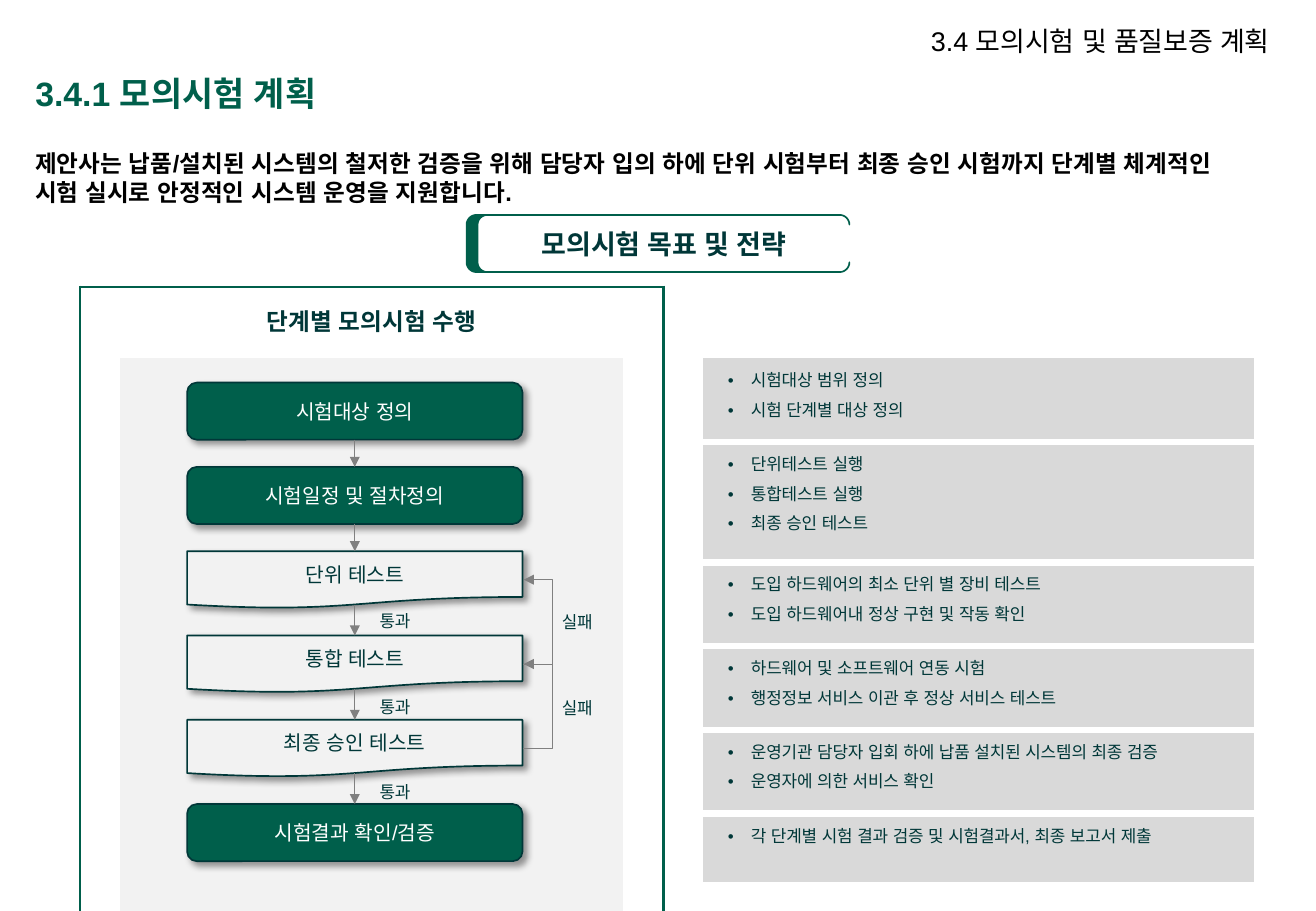
from math import cos, radians, sin

from lxml.etree import SubElement
from pptx import Presentation
from pptx.dml.color import RGBColor
from pptx.enum.shapes import MSO_CONNECTOR as CONNECTOR, MSO_SHAPE as SHAPE
from pptx.enum.text import MSO_ANCHOR as ANCHOR, PP_ALIGN as ALIGN
from pptx.oxml.ns import qn
from pptx.util import Inches, Pt

COLORS = {
    "green": "005F4B", "dark": "003738", "black": "000000", "white": "FFFFFF",
    "panel": "F2F2F2", "box": "D9D9D9", "line": "808080",
}
NO_STYLE = "{2D5ABB26-0587-4C30-8999-92F81FD0307C}"
DETAILS = [
    ["시험대상 범위 정의", "시험 단계별 대상 정의"],
    ["단위테스트 실행", "통합테스트 실행", "최종 승인 테스트"],
    ["도입 하드웨어의 최소 단위 별 장비 테스트", "도입 하드웨어내 정상 구현 및 작동 확인"],
    ["하드웨어 및 소프트웨어 연동 시험", "행정정보 서비스 이관 후 정상 서비스 테스트"],
    ["운영기관 담당자 입회 하에 납품 설치된 시스템의 최종 검증", "운영자에 의한 서비스 확인"],
    ["각 단계별 시험 결과 검증 및 시험결과서, 최종 보고서 제출"],
]
ROW_HEIGHTS = [0.59, 0.69, 0.99, 0.69, 0.69, 0.69, 0.59, 0.59]
COLUMN_WIDTHS = [0.33, 4.14, 0.33, 0.33, 4.53]
STEPS = [
    ("시험대상 정의", False), ("시험일정 및 절차정의", False), ("단위 테스트", True),
    ("통합 테스트", True), ("최종 승인 테스트", True), ("시험결과 확인/검증", False),
]
STEP_LEFT, STEP_TOP, STEP_WIDTH, STEP_HEIGHT = 1.54, 3.15, 2.76, 0.47
STEP_PITCH = (6.62 - STEP_TOP) / 5
DOCUMENT_DEPTH = 0.44
RETRY_GAP, RETRY_REACH = 0.01, 0.25


def rgb(name):
    """Return the named colour."""
    return RGBColor.from_string(COLORS[name])


def style(paragraph, size, color, bold=False, align=ALIGN.LEFT):
    """Format a paragraph and its runs."""
    paragraph.alignment = align
    for run in paragraph.runs:
        run.font.name = "Arial"
        SubElement(run.font._element, qn("a:ea"), typeface="Arial")
        run.font.size = Pt(size)
        run.font.bold = bold
        run.font.color.rgb = rgb(color)


def write(holder, text, size, color, bold=False, align=ALIGN.LEFT, anchor=ANCHOR.MIDDLE):
    """Put one formatted paragraph into a shape."""
    frame = holder.text_frame
    frame.text = text
    frame.word_wrap = True
    frame.vertical_anchor = anchor
    style(frame.paragraphs[0], size, color, bold, align)
    return frame


def add_text(slide, box, *args, **options):
    """Add a text box holding one paragraph."""
    return write(slide.shapes.add_textbox(*map(Inches, box)), *args, **options)


def add_title(slide):
    """Place the section title."""
    title = slide.shapes.title
    title.left, title.top, title.width, title.height = map(Inches, (0.19, 0.59, 9.6, 0.39))
    write(title, "3.4.1 모의시험 계획", 20, "green", bold=True)
    title.text_frame.paragraphs[0].line_spacing = 0.9


def add_banner(slide):
    """Draw the rounded bracket with the heading inside."""
    radius, top, bottom = 0.08, 1.85, 2.16
    corners = [
        (6.91, top, -90, 0), (6.91, top, 0, -90), (4.01, top, -90, -180),
        (4.01, bottom, 180, 90), (6.91, bottom, 90, 0), (6.91, bottom, 0, 90),
        (3.92, bottom, 90, 180), (3.92, top, 180, 270),
    ]
    outline = [
        (Inches(x + radius * cos(angle)), Inches(y + radius * sin(angle)))
        for x, y, start, end in corners
        for angle in (radians(start + (end - start) * i / 8) for i in range(9))
    ]
    builder = slide.shapes.build_freeform(*outline[0])
    builder.add_line_segments(outline[1:], close=True)
    banner = builder.convert_to_shape()
    banner.shadow.inherit = False
    banner.fill.solid()
    banner.fill.fore_color.rgb = rgb("green")
    banner.line.color.rgb = rgb("green")
    banner.line.width = Pt(1)
    frame = write(banner, "모의시험 목표 및 전략", 16, "dark", bold=True, align=ALIGN.CENTER)
    frame.margin_left = Inches(0.2)


def format_cell(cell, fill, borders):
    """Set the borders and then the fill of a cell."""
    properties = cell._tc.get_or_add_tcPr()
    for side in "LRTB":
        if side in borders:
            color, width = borders[side]
            line = SubElement(properties, qn(f"a:ln{side}"), w=str(Pt(width)))
            SubElement(SubElement(line, qn("a:solidFill")), qn("a:srgbClr"), val=COLORS[color])
    cell.fill.solid()
    cell.fill.fore_color.rgb = rgb(fill)


def cell_borders(row, column):
    """Return the borders of a cell from its place in the table."""
    frame, gap = ("green", 1.5), ("white", 4.5)
    if column == 4:
        rules = {"T": (row > 1, gap), "B": (0 < row < 7, gap)}
    else:
        rules = {
            "L": (column == 0, frame), "R": (column == 2, frame),
            "T": (row == 0 and column < 3, frame), "B": (row == 7 and column < 3, frame),
        }
    return {side: border for side, (shown, border) in rules.items() if shown}


def write_bullets(cell, lines):
    """Fill a cell with bulleted lines."""
    cell.margin_left, cell.margin_right = Inches(0.2), Inches(0.1)
    cell.margin_top = cell.margin_bottom = Inches(0.08)
    cell.text_frame.text = "\n".join(lines)
    for paragraph in cell.text_frame.paragraphs:
        paragraph.line_spacing = 1.2
        paragraph.space_after = Pt(4)
        properties = paragraph._p.get_or_add_pPr()
        properties.set("marL", str(Inches(0.19)))
        properties.set("indent", str(Inches(-0.19)))
        SubElement(properties, qn("a:buFont"), typeface="Arial")
        SubElement(properties, qn("a:buChar"), char="•")
        style(paragraph, 10, "dark")


def add_plan_table(slide):
    """Add the table that frames the flow and lists the details."""
    place = map(Inches, (0.66, 2.36, sum(COLUMN_WIDTHS), sum(ROW_HEIGHTS)))
    table = slide.shapes.add_table(8, 5, *place).table
    table.first_row = table.horz_banding = False
    table._tbl.tblPr.find(qn("a:tableStyleId")).text = NO_STYLE
    for column, width in zip(table.columns, COLUMN_WIDTHS):
        column.width = Inches(width)
    for row, height in enumerate(ROW_HEIGHTS):
        table.rows[row].height = Inches(height)
        for column in range(5):
            fill = {1: "panel", 4: "box"}.get(column, "white") if row else "white"
            if (row, column) == (7, 4):
                fill = "white"
            format_cell(table.cell(row, column), fill, cell_borders(row, column))
    table.cell(1, 1).merge(table.cell(7, 1))
    heading = table.cell(0, 1)
    heading.text_frame.text = "단계별 모의시험 수행"
    heading.vertical_anchor = ANCHOR.MIDDLE
    style(heading.text_frame.paragraphs[0], 14, "dark", True, ALIGN.CENTER)
    for row, lines in enumerate(DETAILS, 1):
        write_bullets(table.cell(row, 4), lines)


def add_step(slide, index, text, is_test):
    """Add one step of the flow with its shadow."""
    kind = SHAPE.FLOWCHART_DOCUMENT if is_test else SHAPE.ROUNDED_RECTANGLE
    place = (STEP_LEFT, STEP_TOP + index * STEP_PITCH, STEP_WIDTH, STEP_HEIGHT)
    step = slide.shapes.add_shape(kind, *map(Inches, place))
    step.fill.solid()
    step.fill.fore_color.rgb = rgb("panel" if is_test else "green")
    step.line.color.rgb = rgb("dark")
    step.line.width = Pt(1)
    step.shadow.inherit = False
    shadow = SubElement(
        step._element.spPr.find(qn("a:effectLst")), qn("a:outerShdw"),
        blurRad=str(Pt(4)), dist=str(Pt(3)), dir=str(45 * 60000), algn="tl", rotWithShape="0")
    tint = SubElement(shadow, qn("a:srgbClr"), val=COLORS["black"])
    SubElement(tint, qn("a:alpha"), val="40000")
    write(step, text, 12, "dark" if is_test else "white", align=ALIGN.CENTER)
    return step


def add_arrow(slide, kind, *ends):
    """Add a thin grey arrow."""
    arrow = slide.shapes.add_connector(kind, *map(Inches, ends))
    arrow.line.color.rgb = rgb("line")
    arrow.line.width = Pt(0.5)
    SubElement(arrow.line._get_or_add_ln(), qn("a:tailEnd"), type="triangle")
    SubElement(arrow._element.spPr, qn("a:effectLst"))
    return arrow


def add_flow(slide):
    """Build the steps, the arrows between them and their labels."""
    steps = [add_step(slide, i, *step) for i, step in enumerate(STEPS)]
    for upper, lower, (_, is_test) in zip(steps, steps[1:], STEPS):
        arrow = add_arrow(slide, CONNECTOR.STRAIGHT, 0, 0, 0, 0)
        arrow.begin_connect(upper, 2)
        arrow.end_connect(lower, 0)
        if is_test:
            arrow.begin_y = upper.top + Inches(DOCUMENT_DEPTH)
    right = STEP_LEFT + STEP_WIDTH
    bend = f"val {round(RETRY_REACH / RETRY_GAP * 100000)}"
    for index in (3, 4):
        middle = STEP_TOP + index * STEP_PITCH + STEP_HEIGHT / 2
        retry = add_arrow(
            slide, CONNECTOR.ELBOW, right, middle, right + RETRY_GAP, middle - STEP_PITCH)
        guides = retry._element.spPr.find(qn("a:prstGeom")).get_or_add_avLst()
        SubElement(guides, qn("a:gd"), name="adj1", fmla=bend)
    for text, left, tops in (("통과", 3.04, (5, 5.71, 6.41)), ("실패", 4.54, (5.01, 5.72))):
        for top in tops:
            frame = add_text(slide, (left, top, 0.42, 0.22), text, 10, "dark", align=ALIGN.CENTER)
            frame.margin_left = frame.margin_right = Inches(0.04)
            frame.margin_top = frame.margin_bottom = Inches(0.04)


def main():
    """Build the slide and save it."""
    deck = Presentation()
    deck.slide_width, deck.slide_height = Inches(10.83), Inches(7.5)
    slide = deck.slides.add_slide(deck.slide_layouts[5])
    add_title(slide)
    intro = ("제안사는 납품/설치된 시스템의 철저한 검증을 위해 담당자 입의 하에 단위 시험부터 "
             "최종 승인 시험까지 단계별 체계적인 시험 실시로 안정적인 시스템 운영을 지원합니다.")
    add_text(slide, (0.19, 1.18, 10.24, 0.58), intro, 14, "black", True, anchor=ANCHOR.TOP)
    chapter = add_text(slide, (6.3, 0.16, 4.25, 0.39), "3.4 모의시험 및 품질보증 계획",
                       16, "black", align=ALIGN.RIGHT)
    chapter.paragraphs[0].line_spacing = 0.9
    add_banner(slide)
    add_plan_table(slide)
    add_flow(slide)
    deck.save("out.pptx")


if __name__ == "__main__":
    main()
